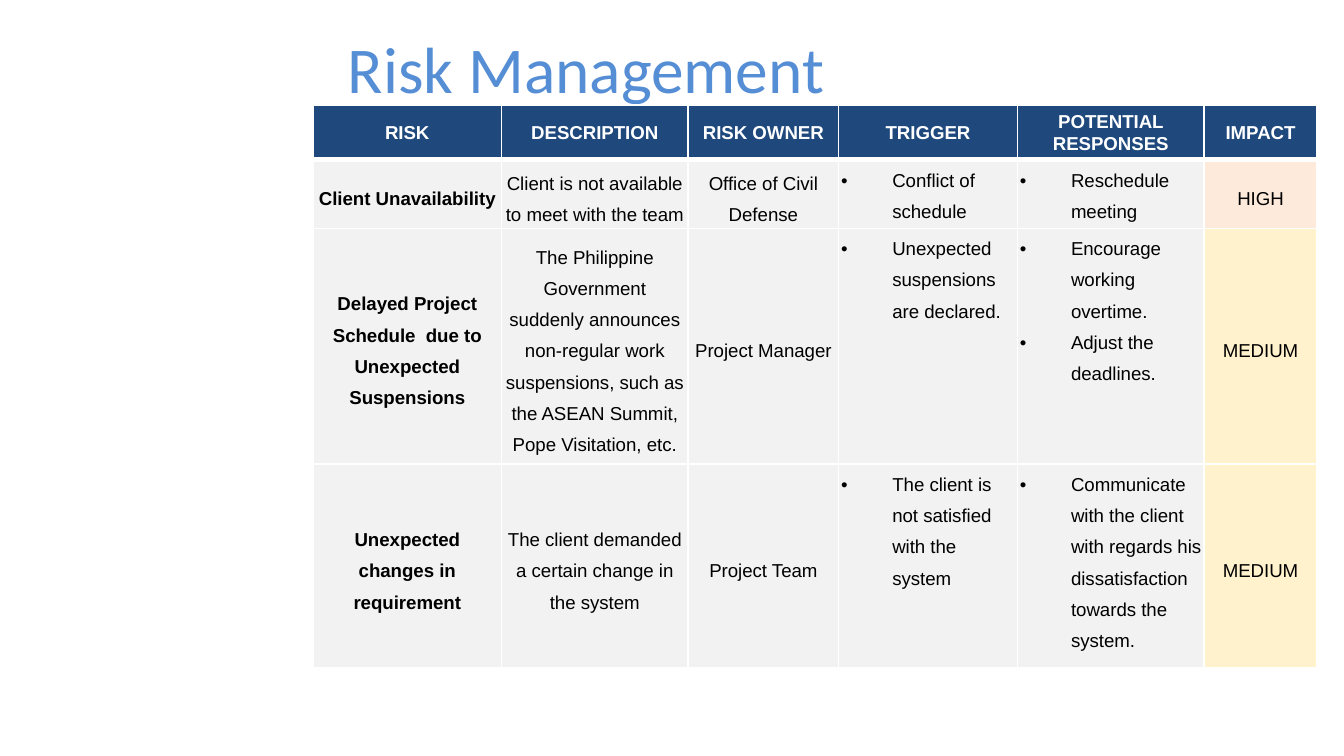
from lxml import etree
from pptx import Presentation, util as u
from pptx.dml.color import RGBColor
from pptx.enum import text
from pptx.oxml.ns import qn

COLORS = {"title": "558ED5", "header": "1F497D", "body": "F2F2F2", "HIGH": "FDEADA",
          "MEDIUM": "FFF2CC", "white": "FFFFFF", "black": "000000"}
HEADINGS = ["RISK", "DESCRIPTION", "RISK OWNER", "TRIGGER", "POTENTIAL RESPONSES", "IMPACT"]
RISKS = [
    ["Client Unavailability", "Client is not available to meet with the team",
     "Office of Civil Defense", "Conflict of schedule", "Reschedule meeting", "HIGH"],
    ["Delayed Project Schedule  due to Unexpected Suspensions",
     "The Philippine Government suddenly announces non-regular work suspensions, "
     "such as the ASEAN Summit, Pope Visitation, etc.",
     "Project Manager", "Unexpected suspensions are declared.",
     "Encourage working overtime.\nAdjust the deadlines.", "MEDIUM"],
    ["Unexpected changes in requirement", "The client demanded a certain change in the system",
     "Project Team", "The client is not satisfied with the system",
     "Communicate with the client with regards his dissatisfaction towards the system.",
     "MEDIUM"],
]
COLUMN_WIDTHS = [1.4, 1.39, 1.12, 1.33, 1.39, 0.84]
ROW_HEIGHTS = [0.41, 0.51, 0.42, 1.52]
BULLET_COLUMNS = (3, 4)
MARGINS = {"margin_left": u.Inches(0.02), "margin_right": u.Inches(0.02),
           "margin_top": 0, "margin_bottom": 0}


def style_font(span, color, **values):
    for name, value in values.items():
        setattr(span.font, name, value)
    span.font.color.rgb = RGBColor.from_string(COLORS[color])


def add_borders(cell, bottom_width):
    properties = cell._tc.get_or_add_tcPr()
    for position, side in enumerate(("lnL", "lnR", "lnT", "lnB")):
        width = bottom_width if side == "lnB" else 1
        line = etree.Element(qn(f"a:{side}"), w=str(u.Pt(width)))
        fill = etree.SubElement(line, qn("a:solidFill"))
        etree.SubElement(fill, qn("a:srgbClr"), val=COLORS["white"])
        properties.insert(position, line)


# Widescreen page, 16:9
deck = Presentation()
deck.slide_width = u.Inches(10)
deck.slide_height = u.Inches(10) * 9 // 16
page = deck.slides.add_slide(deck.slide_layouts[6])

# Title
box = page.shapes.add_textbox(u.Inches(2.49), u.Inches(0.19), u.Inches(7.66), u.Inches(0.63))
box.text_frame.word_wrap = True
box.text_frame.vertical_anchor = text.MSO_ANCHOR.MIDDLE
span = box.text_frame.paragraphs[0].add_run()
span.text = "Risk Management"
style_font(span, "title", name="Calibri", size=u.Pt(35))

# Risk table
table = page.shapes.add_table(
    len(ROW_HEIGHTS), len(COLUMN_WIDTHS), u.Inches(2.33), u.Inches(0.78),
    u.Inches(sum(COLUMN_WIDTHS)), u.Inches(4.16)).table
table.horz_banding = False
for column, width in zip(table.columns, COLUMN_WIDTHS):
    column.width = u.Inches(width)
for row, height in zip(table.rows, ROW_HEIGHTS):
    row.height = u.Inches(height)

for row_index, entries in enumerate([HEADINGS] + RISKS):
    is_header = row_index == 0
    for column_index, entry in enumerate(entries):
        cell = table.cell(row_index, column_index)
        bulleted = not is_header and column_index in BULLET_COLUMNS
        for name, value in MARGINS.items():
            setattr(cell, name, value)
        cell.vertical_anchor = text.MSO_ANCHOR.TOP if bulleted else text.MSO_ANCHOR.MIDDLE
        cell.fill.solid()
        fill_name = "header" if is_header else entry if entry in COLORS else "body"
        cell.fill.fore_color.rgb = RGBColor.from_string(COLORS[fill_name])
        add_borders(cell, 3 if is_header else 1)

        # Cell text, with hanging bullets for triggers and responses
        cell.text = entry
        for para in cell.text_frame.paragraphs:
            para.line_spacing = 1.07 if is_header else 1.5
            para.alignment = text.PP_ALIGN.LEFT if bulleted else text.PP_ALIGN.CENTER
            if bulleted:
                properties = para._p.get_or_add_pPr()
                properties.set("marL", str(u.Inches(0.38)))
                properties.set("indent", str(u.Inches(-0.38)))
                etree.SubElement(properties, qn("a:buFont"), typeface="Arial")
                etree.SubElement(properties, qn("a:buChar"), char="•")
            for span in para.runs:
                style_font(span, "white" if is_header else "black", name="Arial",
                           size=u.Pt(10), bold=is_header or column_index == 0)

deck.save("out.pptx")
